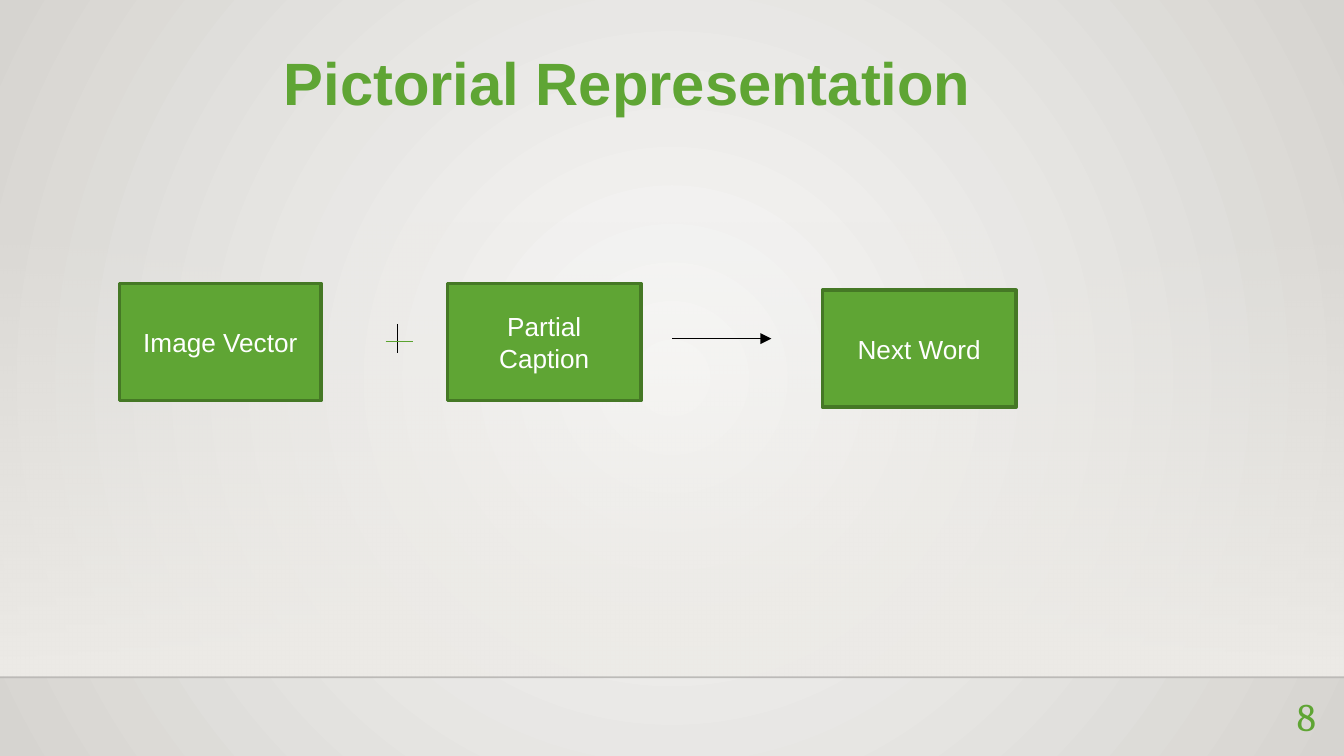
from lxml import etree
from pptx import Presentation
from pptx.dml.color import RGBColor
from pptx.enum.shapes import MSO_CONNECTOR, MSO_SHAPE
from pptx.enum.text import MSO_ANCHOR, PP_ALIGN
from pptx.oxml.ns import qn
from pptx.util import Inches, Pt

RECTANGLE = MSO_SHAPE.RECTANGLE
STRAIGHT = MSO_CONNECTOR.STRAIGHT
CENTER, RIGHT = PP_ALIGN.CENTER, PP_ALIGN.RIGHT
MIDDLE, BOTTOM = MSO_ANCHOR.MIDDLE, MSO_ANCHOR.BOTTOM
TITLE_ONLY = 5

COLORS = {
    "green": "5FA534", "dark green": "457825", "plus green": "5BA32F",
    "white": "FFFFFF", "black": "000000", "rule": "000001",
    "center": "F9F9F8", "edge": "D6D4D0", "panel": "EDEBE7",
}
WIDTH = 10
HEIGHT = WIDTH * 9 / 16
PANEL_TOP, FLOOR = 1.65, 5.04
BOX_HEIGHT = 0.87

TITLE = "Pictorial Representation"
PAGE_NUMBER = "8"
BOXES = [
    ("Image Vector", 0.89, 2.11, 1.5),
    ("Partial Caption", 3.33, 2.11, 1.44),
    ("Next Word", 6.12, 2.16, 1.44),
]
PLUS_STROKES = [
    ((2.96, 2.41), (2.96, 2.63), "black"),
    ((2.87, 2.54), (3.07, 2.54), "plus green"),
]
ARROW = ((5, 2.52), (5.74, 2.52), "black")


def rgb(name):
    return RGBColor.from_string(COLORS[name])


def place(shape, left, top, width, height):
    shape.left, shape.top = Inches(left), Inches(top)
    shape.width, shape.height = Inches(width), Inches(height)


def write(shape, text, size, color="green", font="Arial", bold=False,
          align=CENTER, anchor=MIDDLE, inset=(0, 0), spacing=None):
    frame = shape.text_frame
    frame.word_wrap = True
    frame.vertical_anchor = anchor
    frame.margin_left = frame.margin_right = Inches(inset[0])
    frame.margin_top = frame.margin_bottom = Inches(inset[1])
    para = frame.paragraphs[0]
    para.alignment = align
    para.line_spacing = spacing
    span = para.add_run()
    span.text = text
    span.font.size, span.font.name, span.font.bold = Pt(size), font, bold
    span.font.color.rgb = rgb(color)


def set_gradient(fill, *names):
    fill.gradient()
    for stop, name in zip(fill.gradient_stops, names):
        stop.color.rgb = rgb(name)


def set_alpha(color_element, percent):
    etree.SubElement(color_element, qn("a:alpha"), val=str(percent * 1000))


def add_rectangle(page, left, top, width, height):
    shape = page.shapes.add_shape(RECTANGLE, 0, 0, 0, 0)
    place(shape, left, top, width, height)
    shape.shadow.inherit = False
    return shape


def add_line(page, start, end, color, weight=0.75):
    line = page.shapes.add_connector(STRAIGHT, *map(Inches, start + end))
    line.line.color.rgb = rgb(color)
    line.line.width = Pt(weight)
    etree.SubElement(line.element.spPr, qn("a:effectLst"))
    return line


def add_backdrop(page):
    set_gradient(page.background.fill, "center", "edge")
    gradient = next(page.element.iter(qn("a:gradFill")))
    gradient.remove(gradient.find(qn("a:lin")))
    circle = etree.SubElement(gradient, qn("a:path"), path="circle")
    etree.SubElement(circle, qn("a:fillToRect"),
                     {side: "50000" for side in "ltrb"})

    panel = add_rectangle(page, 0, PANEL_TOP, WIDTH, FLOOR - PANEL_TOP)
    set_gradient(panel.fill, "panel", "panel")
    panel.fill.gradient_angle = 270
    set_alpha(next(panel.element.iter(qn("a:srgbClr"))), 0)
    panel.line.fill.background()

    rule = add_line(page, (0, FLOOR), (WIDTH, FLOOR), "rule", 1)
    set_alpha(next(rule.element.iter(qn("a:srgbClr"))), 20)


def main():
    deck = Presentation()
    deck.slide_width, deck.slide_height = Inches(WIDTH), Inches(HEIGHT)
    page = deck.slides.add_slide(deck.slide_layouts[TITLE_ONLY])
    add_backdrop(page)

    title = page.shapes.title
    place(title, 0.65, 0.23, 8.04, 0.65)
    write(title, TITLE, 32, bold=True, anchor=BOTTOM, spacing=0.9)

    number = page.shapes.add_textbox(0, 0, 0, 0)
    place(number, 9.35, 5.11, 0.44, 0.43)
    write(number, PAGE_NUMBER, 21, font="Cambria", align=RIGHT)

    for label, left, top, width in BOXES:
        box = add_rectangle(page, left, top, width, BOX_HEIGHT)
        box.fill.solid()
        box.fill.fore_color.rgb = rgb("green")
        box.line.color.rgb = rgb("dark green")
        box.line.width = Pt(2)
        write(box, label, 14, color="white", inset=(0.1, 0.05))

    for stroke in PLUS_STROKES:
        add_line(page, *stroke)
    arrow = add_line(page, *ARROW)
    outline = arrow.element.spPr.find(qn("a:ln"))
    etree.SubElement(outline, qn("a:tailEnd"), type="triangle")

    deck.save("out.pptx")


if __name__ == "__main__":
    main()
